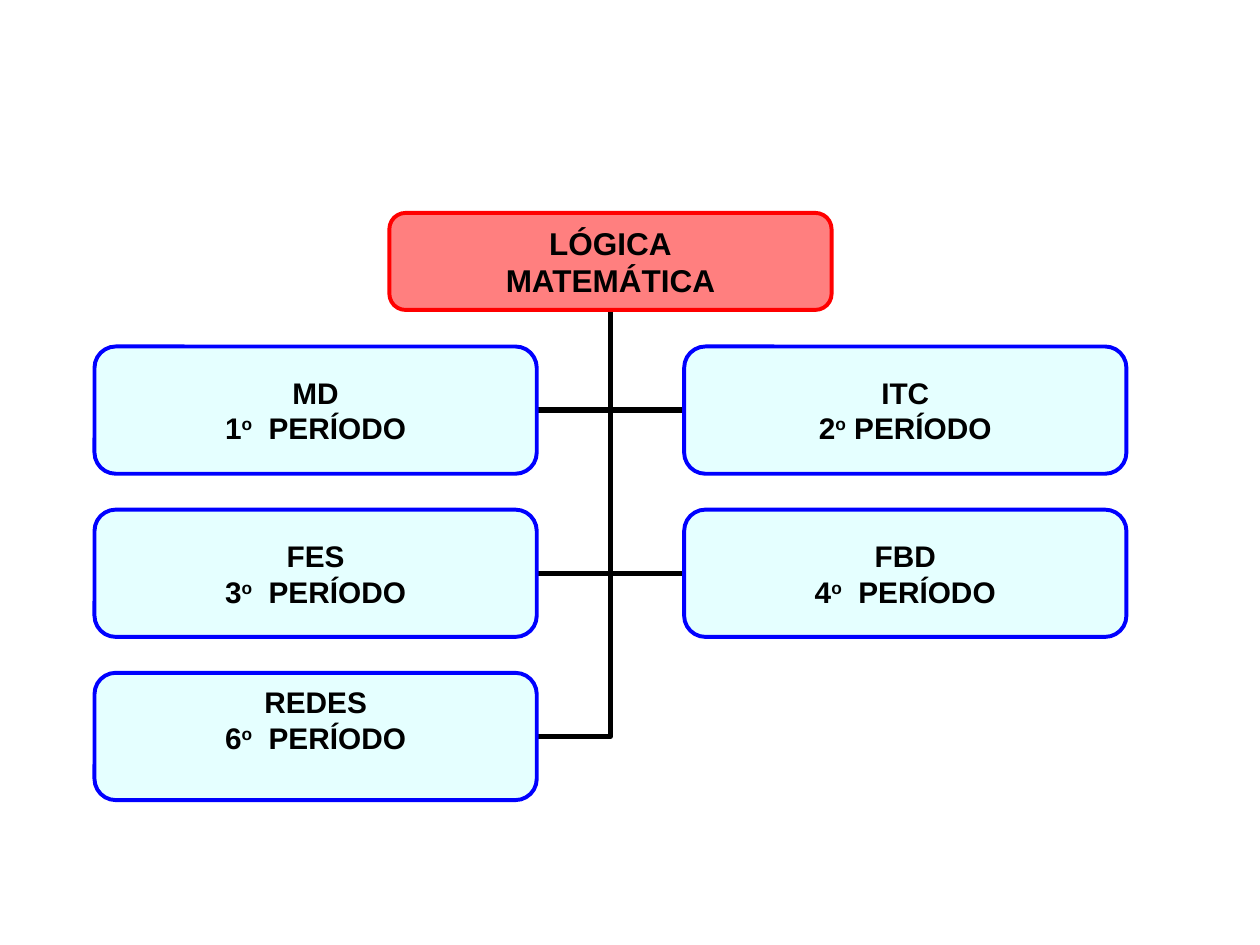
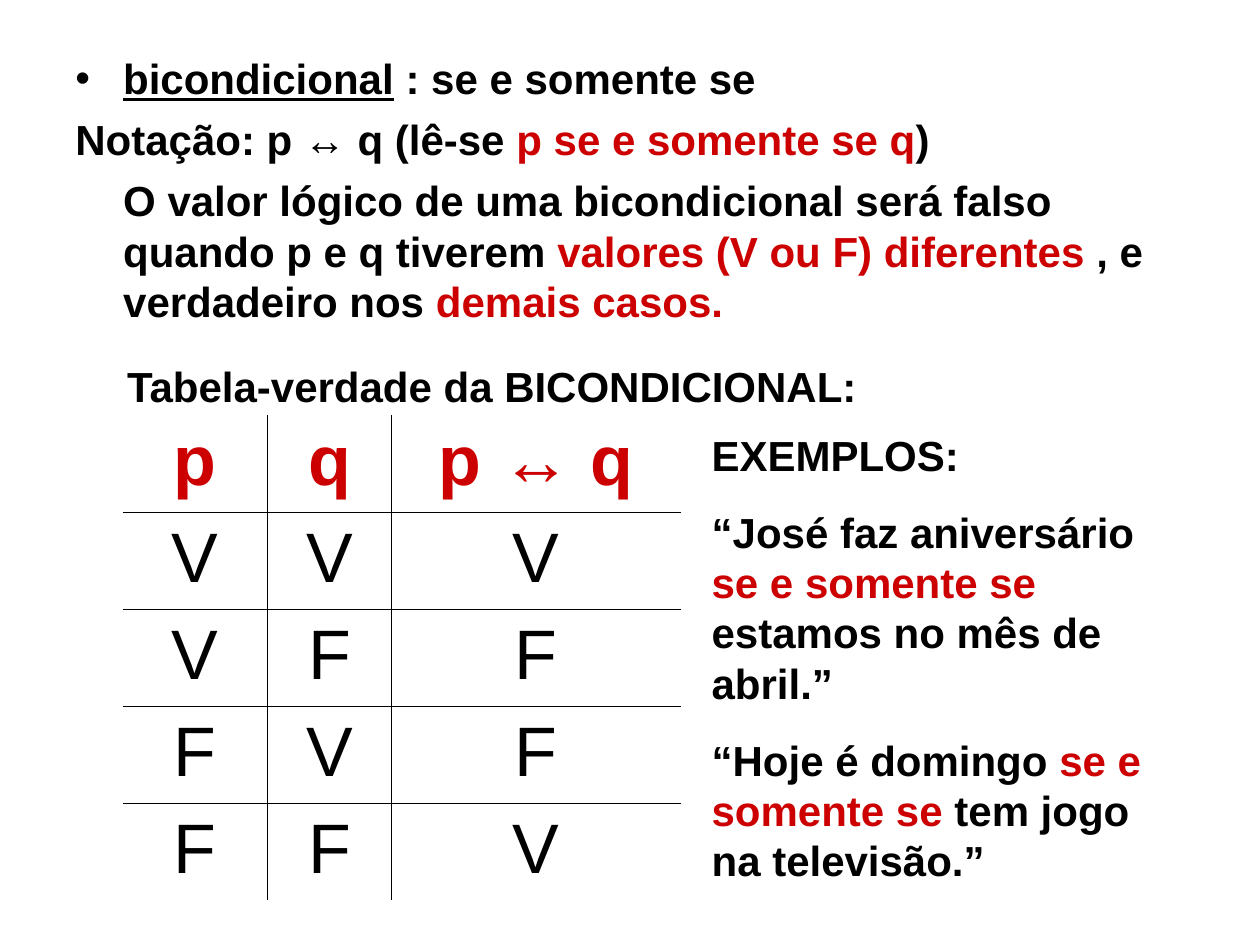
import pptx
import pptx.util
import pptx.dml.color
import pptx.enum.shapes
import pptx.enum.text
import pptx.oxml.ns
import lxml.etree

Inches = pptx.util.Inches
Pt = pptx.util.Pt
RGB = pptx.dml.color.RGBColor
Align = pptx.enum.text.PP_ALIGN
Anchor = pptx.enum.text.MSO_ANCHOR
qn = pptx.oxml.ns.qn

BLACK = RGB(0, 0, 0)
RED = RGB(255, 0, 0)
BLUE = RGB(0, 0, 255)
CYAN = RGB(204, 255, 255)
DARK_RED = RGB(204, 0, 0)
FONT = "Arial"


def sub(parent, tag, **attrs):
    return lxml.etree.SubElement(parent, qn(tag), **attrs)


def accent(text):
    return text, {"color": DARK_RED}


def write(frame, paras, size=24, bold=True, color=BLACK, align=Align.LEFT, gap=0,
          margins=(0.1, 0.05, 0.1, 0.05), wrap=True, anchor=Anchor.TOP):
    frame.word_wrap = wrap
    frame.vertical_anchor = anchor
    (frame.margin_left, frame.margin_top,
     frame.margin_right, frame.margin_bottom) = [Inches(m) for m in margins]
    for i, runs in enumerate(paras):
        para = frame.paragraphs[0] if i == 0 else frame.add_paragraph()
        para.alignment = align
        if i and gap:
            para.space_before = Pt(gap)
        for part in runs:
            text, style = (part, {}) if isinstance(part, str) else part
            run = para.add_run()
            run.text = text
            font = run.font
            font.name, font.size, font.bold = FONT, Pt(size), bold
            font.color.rgb = style.get("color", color)
            if "under" in style:
                font.underline = style["under"]
            props = run._r.get_or_add_rPr()
            if "raised" in style:
                props.set("baseline", str(style["raised"] * 1000))
            if "spread" in style:
                props.set("spc", str(round(style["spread"] * 100)))


def add_text(slide, box, paras, **style):
    frame = slide.shapes.add_textbox(*[Inches(v) for v in box]).text_frame
    write(frame, paras, **style)
    return frame


def add_node(slide, box, paras, fill, edge, size, foot=0.04):
    node = slide.shapes.add_shape(
        pptx.enum.shapes.MSO_SHAPE.ROUNDED_RECTANGLE, *[Inches(v) for v in box])
    node.shadow.inherit = False
    node.fill.solid()
    node.fill.fore_color.rgb = fill
    sub(node._element.spPr.find(qn("a:solidFill"))[0], "a:alpha", val="50000")
    node.line.color.rgb = edge
    node.line.width = Pt(2.25)
    write(node.text_frame, paras, size=size, align=Align.CENTER, wrap=False,
          anchor=Anchor.MIDDLE, margins=(0.08, 0.04, 0.08, foot))
    return node


def add_elbow(slide, start, end):
    elbow = slide.shapes.add_connector(
        pptx.enum.shapes.MSO_CONNECTOR.ELBOW, *[Inches(v) for v in start + end])
    elbow.line.color.rgb = BLACK
    elbow.line.width = Pt(3)
    props = elbow._element.spPr
    props.find(qn("a:prstGeom")).set("prst", "bentConnector2")
    sub(props, "a:effectLst")
    slide.shapes._spTree.insert(2, elbow._element)
    return elbow


def add_chart_tree(slide, box):
    left, top, width, height = box
    node_w, node_h, drop = 3.51, 1.01, 1.06
    step = (height - drop - node_h) / 2
    mid = left + width / 2
    root = add_node(slide, (mid - node_w / 2, top, node_w, 0.77),
                    [["LÓGICA"], ["MATEMÁTICA"]], RED, RED, 18)

    terms = [("MD", 1), ("ITC", 2), ("FES", 3), ("FBD", 4), ("REDES", 6)]
    for i, (name, term) in enumerate(terms):
        row, col = divmod(i, 2)
        x = left + col * (width - node_w)
        y = top + drop + row * step
        space = " ", {"spread": 0 if name == "ITC" else 4.7}
        node = add_node(slide, (x, y, node_w, node_h),
                        [[name], [str(term), ("o", {"raised": 30}), space, "PERÍODO"]],
                        CYAN, BLUE, 17, foot=0.31 if name == "REDES" else 0.04)
        side = x if col else x + node_w
        elbow = add_elbow(slide, (side, y + node_h / 2), (mid, top + 0.77))
        elbow.begin_connect(node, 1 if col else 3)
        elbow.end_connect(root, 2)


def add_rule(slide, box):
    frame = add_text(slide, box, [
        [("bicondicional", {"under": True}), " : se e somente se"],
        ["Notação: p ↔ q (lê-se ", accent("p se e somente se q"), ")"],
        ["O valor lógico de uma bicondicional será falso quando p e q tiverem ",
         accent("valores (V ou F) diferentes"), " , e verdadeiro nos ",
         accent("demais casos.")],
    ], gap=6)
    hang = Inches(0.38)
    for para, first in zip(frame.paragraphs, (-hang, -hang, 0)):
        props = para._p.get_or_add_pPr()
        props.set("marL", str(hang))
        props.set("indent", str(first))
    props = frame.paragraphs[0]._p.pPr
    sub(props, "a:buFont", typeface=FONT)
    sub(props, "a:buChar", char="•")


def add_border(cell, sides):
    props = cell._tc.get_or_add_tcPr()
    for i, side in enumerate(sides):
        line = lxml.etree.Element(qn("a:ln" + side), w=str(Pt(0.45)))
        sub(sub(line, "a:solidFill"), "a:srgbClr", val=str(BLACK))
        props.insert(i, line)


def add_truth(slide, box):
    rows = ["p", "q", "p ↔ q"], "VVV", "VFF", "FVF", "FFV"
    widths = 1.14, 0.99, 2.29
    table = slide.shapes.add_table(
        len(rows), len(widths), *[Inches(v) for v in box]).table
    table.first_row = table.horz_banding = False
    for col, width in zip(table.columns, widths):
        col.width = Inches(width)
    for r, row in enumerate(rows):
        table.rows[r].height = Inches(box[3] / len(rows))
        for c, text in enumerate(row):
            cell = table.cell(r, c)
            cell.fill.background()
            sides = [("L", c > 0), ("R", c < len(widths) - 1),
                     ("T", r > 0), ("B", r < len(rows) - 1)]
            add_border(cell, [side for side, inner in sides if inner])
            write(cell.text_frame, [[text]], size=40, bold=r == 0,
                  color=BLACK if r else DARK_RED, align=Align.CENTER)


def add_cases(slide, box):
    add_text(slide, box, [
        ["EXEMPLOS:"],
        ["“José faz aniversário", accent(" se e somente se "),
         "estamos no mês de abril.”"],
        ["“Hoje é domingo ", accent("se e somente se"), " tem jogo na televisão.”"],
    ], gap=15)


def main():
    deck = pptx.Presentation()
    deck.slide_width, deck.slide_height = Inches(10), Inches(7.5)
    blank = deck.slide_layouts[6]

    add_chart_tree(deck.slides.add_slide(blank), (0.75, 1.69, 8.19, 4.66))

    logic = deck.slides.add_slide(blank)
    add_rule(logic, (0.5, 0.37, 8.83, 6.34))
    add_text(logic, (0.91, 2.81, 6.01, 0.5),
             [["Tabela-verdade da BICONDICIONAL:"]], wrap=False)
    add_truth(logic, (0.98, 3.3, 4.42, 3.85))
    add_cases(logic, (5.55, 3.36, 3.86, 3.72))
    deck.save("out.pptx")


if __name__ == "__main__":
    main()
